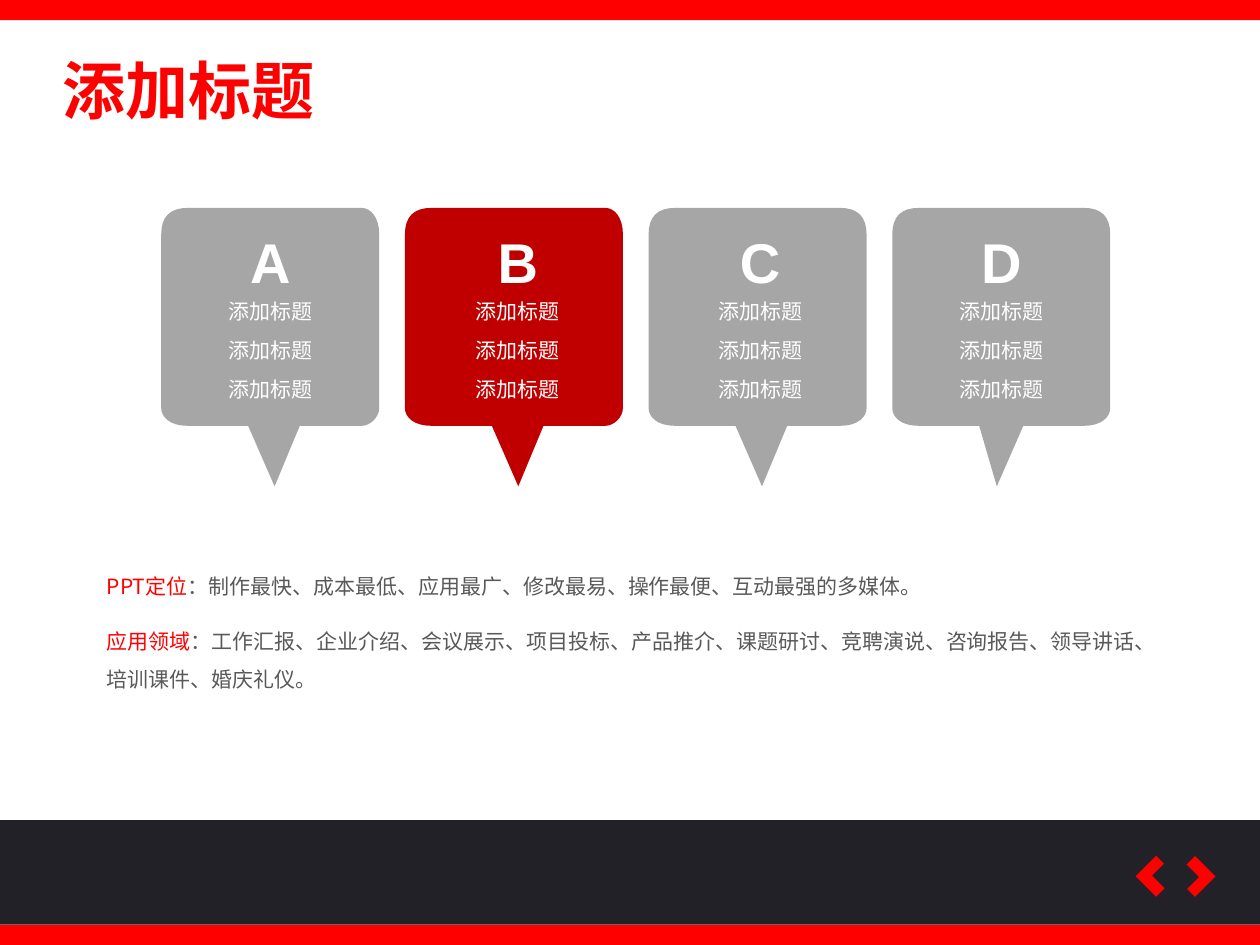
from dataclasses import dataclass

from lxml.etree import SubElement
from pptx import Presentation
from pptx.dml.color import RGBColor
from pptx.enum.shapes import MSO_SHAPE as Kind
from pptx.enum.text import MSO_AUTO_SIZE as Fit, PP_ALIGN as Align
from pptx.oxml.ns import qn
from pptx.util import Inches, Pt

WIDE, HIGH = 10, 7.5
LEFT, TOP, PITCH = 1.28, 1.65, 1.934   # first card and step to the next
SIDE, TIP, UNIT = 1.73, 2.21, 0.07     # card side, tail depth, corner grid
STEPS = 8                              # segments in each rounded corner
ROWS = ["添加标题"] * 3


@dataclass(frozen=True)
class Theme:
    red: str = "FF0000"
    deep: str = "C00000"
    grey: str = "A6A6A6"
    ink: str = "595959"
    dark: str = "222127"
    white: str = "FFFFFF"
    latin: str = "Arial"
    cjk: str = "Noto Sans CJK SC"
    title: int = 36
    letter: int = 32
    body: int = 12


@dataclass(frozen=True)
class Card:
    letter: str
    fill: str
    round: int               # width of the right corners, in units
    tail: tuple[float, ...]  # left, tip and right of the tail
    inset: float             # left of the labels


@dataclass(frozen=True)
class Note:
    head: str
    text: str
    top: float
    width: float
    height: float


Point = tuple[float, float]
Box = tuple[float, float, float, float]
LOOK = Theme()
MID, SKEW = (0.69, 0.9, 1.1), (0.69, 0.83, 1.04)
CARDS = [
    Card("A", LOOK.grey, 2, MID, 0.32),
    Card("B", LOOK.deep, 2, MID, 0.35),
    Card("C", LOOK.grey, 3, MID, 0.34),
    Card("D", LOOK.grey, 3, SKEW, 0.32),
]
NOTES = [
    Note("PPT定位", "：制作最快、成本最低、应用最广、修改最易、操作最便、"
         "互动最强的多媒体。", 4.4, 6.92, 0.4),
    Note("应用领域", "：工作汇报、企业介绍、会议展示、项目投标、产品推介、"
         "课题研讨、竞聘演说、咨询报告、领导讲话、培训课件、婚庆礼仪。",
         4.84, 8.57, 0.71),
]


def paint(shape, color: str) -> None:
    shape.shadow.inherit = False
    shape.fill.solid()
    shape.fill.fore_color.rgb = RGBColor.from_string(color)
    shape.line.fill.background()


def block(shapes, box: Box, color: str):
    shape = shapes.add_shape(Kind.RECTANGLE, *map(Inches, box))
    paint(shape, color)
    return shape


def write(shapes, box: Box, runs: list[tuple[str, str]], size: int,
          face: str = LOOK.cjk, bold: bool = False, wrap: bool = True,
          align: Align = Align.LEFT, lead: float = 1.0) -> None:
    """Add one paragraph of (text, colour) runs."""
    frame = shapes.add_textbox(*map(Inches, box)).text_frame
    frame.word_wrap = wrap
    frame.auto_size = Fit.SHAPE_TO_FIT_TEXT
    para = frame.paragraphs[0]
    para.alignment, para.line_spacing = align, lead
    font = para.font
    font.size, font.bold, font.name = Pt(size), bold, face
    SubElement(font._element, qn("a:ea")).set("typeface", face)
    for text, color in runs:
        run = para.add_run()
        run.text = text
        run.font.color.rgb = RGBColor.from_string(color)


def curve(a: Point, b: Point, c: Point, d: Point) -> list[Point]:
    """Sample the cubic curve from a to d."""
    return [
        tuple((1 - t) ** 3 * p + 3 * (1 - t) ** 2 * t * q
              + 3 * (1 - t) * t * t * r + t ** 3 * s
              for p, q, r, s in zip(a, b, c, d))
        for t in (n / STEPS for n in range(STEPS + 1))
    ]


def outline(card: Card) -> list[Point]:
    u, end, arc = UNIT, SIDE, card.round * UNIT
    start, tip, stop = card.tail
    return [
        *curve((3 * u, 0), (u, 0), (0, u), (0, 3 * u)),
        *curve((0, end - 2 * u), (0, end - u), (u, end), (3 * u, end)),
        (start, end), (tip, TIP), (stop, end),
        *curve((end - arc, end), (end - u, end),
               (end, end - u), (end, end - 2 * u)),
        *curve((end, 3 * u), (end, u), (end - u, 0), (end - arc, 0)),
    ]


def callout(shapes, card: Card, col: int) -> None:
    group = shapes.add_group_shape().shapes
    left = LEFT + col * PITCH
    dots = [(Inches(left + x), Inches(TOP + y)) for x, y in outline(card)]
    pen = group.build_freeform(*dots[0])
    pen.add_line_segments(dots[1:])
    paint(pen.convert_to_shape(), card.fill)
    x = left + card.inset
    write(group, (x, 1.76, 1.09, 0.64), [(card.letter, LOOK.white)],
          LOOK.letter, LOOK.latin, bold=True, align=Align.CENTER)
    for row, text in enumerate(ROWS):
        write(group, (x, 2.32 + 0.31 * row, 1.09, 0.3),
              [(text, LOOK.white)], LOOK.body, align=Align.CENTER)


def arrow(shapes, left: float, turn: int) -> None:
    """Draw a page arrow as a turned "corner" preset, which Kind lacks."""
    shape = block(shapes, (left, 6.84, 0.23, 0.23), LOOK.red)
    shape.rotation = turn
    geom = shape._element.spPr.find(qn("a:prstGeom"))
    geom.set("prst", "corner")
    marks = geom.find(qn("a:avLst"))
    for name, value in (("adj1", 41500), ("adj2", 38600)):
        SubElement(marks, qn("a:gd"), name=name, fmla=f"val {value}")


def frame(shapes) -> None:
    """Draw the bands and the two page arrows."""
    bar = 0.16
    block(shapes, (0, HIGH - bar, WIDE, bar), LOOK.red)
    block(shapes, (0, 6.51, WIDE, 0.83), LOOK.dark)
    block(shapes, (0, 0, WIDE, bar), LOOK.red)
    arrow(shapes, 9.06, 45)
    arrow(shapes, 9.37, 225)


def main() -> None:
    deck = Presentation()
    deck.slide_width, deck.slide_height = Inches(WIDE), Inches(HIGH)
    shapes = deck.slides.add_slide(deck.slide_layouts[6]).shapes
    frame(shapes)
    for col, card in enumerate(CARDS):
        callout(shapes, card, col)
    for note in NOTES:
        write(shapes, (0.75, note.top, note.width, note.height),
              [(note.head, LOOK.red), (note.text, LOOK.ink)],
              LOOK.body, lead=1.5)
    write(shapes, (0.4, 0.36, 2.22, 0.71), [("添加标题", LOOK.red)],
          LOOK.title, bold=True, wrap=False)
    deck.save("out.pptx")


if __name__ == "__main__":
    main()
